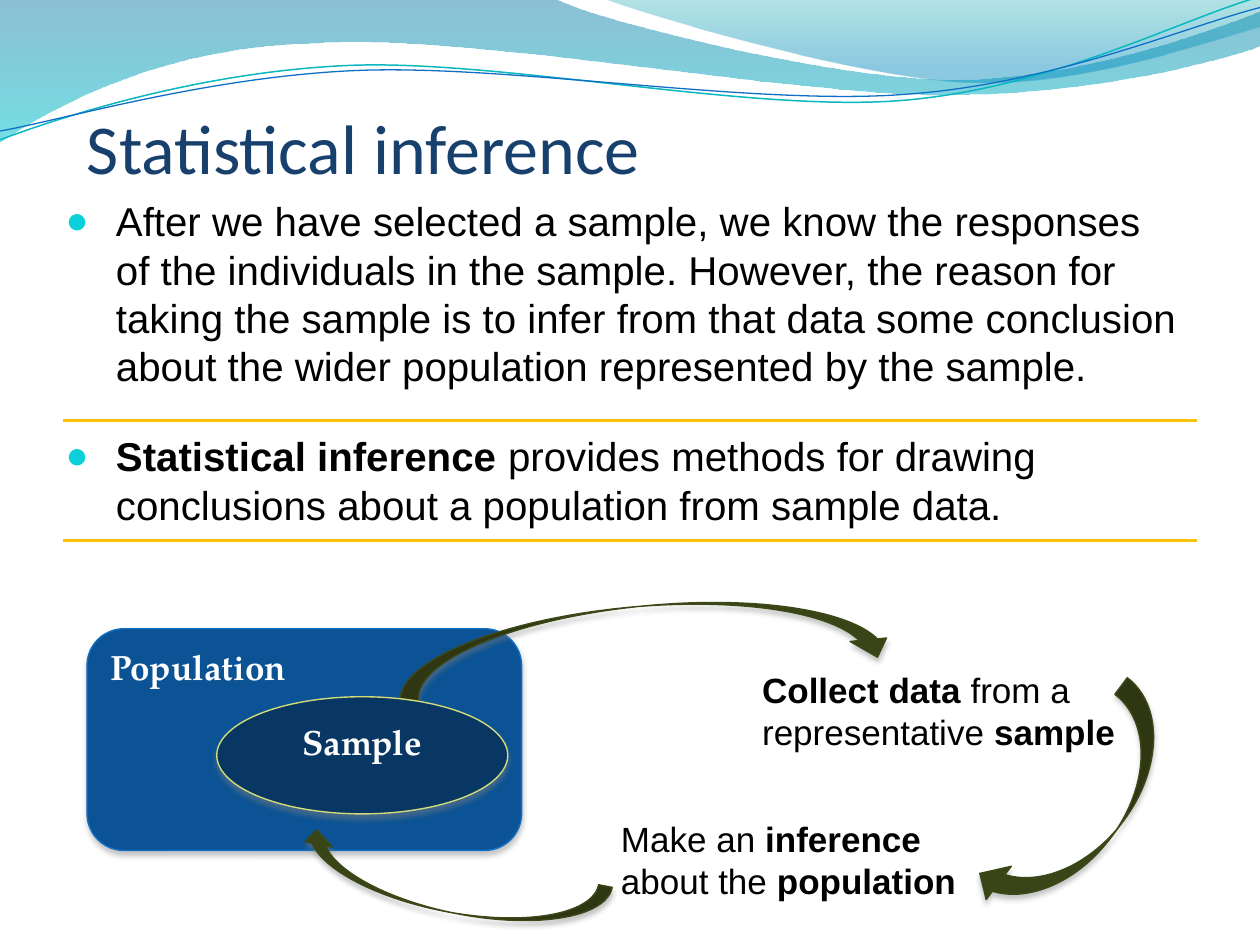
from dataclasses import dataclass
from typing import Optional

from lxml import etree
from pptx import Presentation
from pptx.dml.color import RGBColor
from pptx.enum.shapes import MSO_CONNECTOR, MSO_SHAPE
from pptx.enum.text import MSO_ANCHOR, MSO_AUTO_SIZE, PP_ALIGN
from pptx.oxml.ns import qn
from pptx.util import Inches, Pt

ROUNDED = MSO_SHAPE.ROUNDED_RECTANGLE
OVAL = MSO_SHAPE.OVAL
CURVED_ARROW = MSO_SHAPE.CURVED_DOWN_ARROW
STRAIGHT = MSO_CONNECTOR.STRAIGHT
TOP, BOTTOM = MSO_ANCHOR.TOP, MSO_ANCHOR.BOTTOM
LEFT, CENTER = PP_ALIGN.LEFT, PP_ALIGN.CENTER
NO_AUTOFIT = MSO_AUTO_SIZE.NONE


@dataclass
class Wave:
    start: tuple
    segments: list
    line: Optional[tuple] = None
    gradient: tuple = ()


@dataclass
class Block:
    kind: int
    box: tuple
    fill: str = "3A4517"
    line: str = "3D4818"
    rotation: float = 0
    text: str = ""
    align: int = LEFT


@dataclass
class Caption:
    box: tuple
    runs: list


WAVES = [
    Wave((0, 0), [
        (4.4, -0.01),
        (4.76, 0.17, 6.64, 0.63, 7.58, 0.63), (8.53, 0.63, 9.58, 0.26, 10, 0.09),
        (10.01, 0.36),
        (9.83, 0.44, 8.7, 0.76, 7.46, 0.75), (6.22, 0.75, 3.82, 0.28, 2.57, 0.34),
        (1.29, 0.36, 0.46, 0.83, -0.01, 1.13), (0, 0),
    ], gradient=((0, "0074A1", 45), (1, "00C6CF", 55))),
    Wave((4.79, -0.01), [
        (5.09, 0.11, 6.82, 0.62, 7.69, 0.65), (8.56, 0.69, 9.61, 0.32, 10, 0.21),
        (10, 0), (4.79, -0.01),
    ], gradient=((0, "00A1A9", 30), (0.8, "008BBF", 45))),
    Wave((0, 1.11), [
        (0.48, 0.93, 1.58, 0.57, 2.77, 0.52), (3.95, 0.47, 5.93, 0.89, 7.13, 0.8),
        (8.33, 0.71, 9.38, 0.15, 9.98, -0.02),
    ], line=("0AB8BF", 0.85)),
    Wave((0, 1.04), [
        (0.47, 0.96, 1.64, 0.61, 2.83, 0.56), (4.03, 0.51, 5.97, 0.84, 7.17, 0.75),
        (8.36, 0.67, 9.41, 0.21, 10, 0.06),
    ], line=("0F6FC6", 0.75)),
]
DIAGRAM = [
    Block(ROUNDED, (0.69, 4.99, 3.45, 1.76), "0B5394", "0F6FC6", text="Population"),
    Block(CURVED_ARROW, (3.14, 4.81, 3.95, 0.58), rotation=354.6),
    Caption((5.95, 5.26, 3.38, 0.73), [
        ("Collect data ", True), ("from a representative ", False), ("sample", True)]),
    Block(CURVED_ARROW, (7.52, 6.09, 2.11, 0.66), rotation=127),
    Caption((4.83, 6.44, 3.2, 0.73), [
        ("Make an ", False), ("inference ", True), ("about the ", False), ("population", True)]),
    Block(CURVED_ARROW, (2.34, 6.8, 2.5, 0.44), rotation=191),
    Block(OVAL, (1.72, 5.53, 2.31, 0.93), "083763", "D2DA7A", text="Sample", align=CENTER),
]
BODY = [
    ([("After we have selected a sample, we know the responses of the individuals in the "
       "sample. However, the reason for taking the sample is to infer from that data some "
       "conclusion about the wider population represented by the sample.", False)],
     {"space_before": Pt(0), "space_after": Pt(12)}),
    ([("Statistical inference", True),
      (" provides methods for drawing conclusions about a population from sample data.", False)],
     {"space_before": Pt(12), "space_after": Pt(0)}),
]
RULE_HEIGHTS = (3.34, 4.29)


def color(value: str) -> RGBColor:
    return RGBColor.from_string(value)


def lengths(box: tuple) -> list:
    return [Inches(value) for value in box]


def apply(target, values: dict) -> None:
    for name, value in values.items():
        setattr(target, name, value)


def add_element(parent, tag: str, **attributes):
    return etree.SubElement(parent, qn(tag), attributes)


def set_line(line, value: str, width: float) -> None:
    line.color.rgb = color(value)
    line.width = Pt(width)


def add_runs(paragraph, runs: list, size: float, font: str, value: str) -> None:
    for text, bold in runs:
        run = paragraph.add_run()
        run.text = text
        apply(run.font, {"size": Pt(size), "name": font, "bold": bold})
        run.font.color.rgb = color(value)


def bend_segments(shape, segments: list) -> None:
    straight_lines = list(shape.element.spPr.iter(qn("a:lnTo")))
    for straight, segment in zip(straight_lines, segments):
        if len(segment) == 2:
            continue
        curve = etree.Element(qn("a:cubicBezTo"))
        for x, y in zip(segment[::2], segment[1::2]):
            add_element(curve, "a:pt", x=str(Inches(x) - shape.left), y=str(Inches(y) - shape.top))
        straight.getparent().replace(straight, curve)


def draw_wave(slide, wave: Wave) -> None:
    ends = [lengths(segment[-2:]) for segment in wave.segments]
    builder = slide.shapes.build_freeform(*lengths(wave.start))
    builder.add_line_segments(ends, close=bool(wave.gradient))
    shape = builder.convert_to_shape()
    bend_segments(shape, wave.segments)
    shape.shadow.inherit = False
    if wave.line:
        shape.fill.background()
        set_line(shape.line, *wave.line)
        return
    shape.line.fill.background()
    shape.fill.gradient()
    shape.fill.gradient_angle = 270
    for stop, (position, value, _) in zip(shape.fill.gradient_stops, wave.gradient):
        stop.position = position
        stop.color.rgb = color(value)
    stop_colors = shape.element.spPr.iter(qn("a:srgbClr"))
    for stop_color, (_, _, opacity) in zip(stop_colors, wave.gradient):
        add_element(stop_color, "a:alpha", val=str(opacity * 1000))


def draw_block(slide, block: Block) -> None:
    shape = slide.shapes.add_shape(block.kind, *lengths(block.box))
    shape.rotation = block.rotation
    shape.fill.solid()
    shape.fill.fore_color.rgb = color(block.fill)
    set_line(shape.line, block.line, 0.79)
    shape.shadow.inherit = False
    effects = shape.element.spPr.find(qn("a:effectLst"))
    shadow = add_element(effects, "a:outerShdw", blurRad=str(Pt(3)), dist=str(Pt(2.4)),
                         dir="5400000", rotWithShape="0")
    shadow_color = add_element(shadow, "a:srgbClr", val="808080")
    add_element(shadow_color, "a:alpha", val="45000")
    if block.text:
        shape.text_frame.vertical_anchor = TOP
        paragraph = shape.text_frame.paragraphs[0]
        paragraph.alignment = block.align
        add_runs(paragraph, [(block.text, True)], 20, "TeX Gyre Pagella", "FFFFFF")


def draw_caption(slide, caption: Caption) -> None:
    frame = slide.shapes.add_textbox(*lengths(caption.box)).text_frame
    frame.word_wrap = True
    add_runs(frame.paragraphs[0], caption.runs, 20, "Arial", "000000")


def draw_rule(slide, height: float) -> None:
    rule = slide.shapes.add_connector(STRAIGHT, *lengths((0.5, height, 9.5, height)))
    set_line(rule.line, "FFC20C", 1.5)
    add_element(rule.element.spPr, "a:effectLst")


def place(shape, box: tuple) -> None:
    apply(shape, dict(zip(("left", "top", "width", "height"), lengths(box))))


def fill_title(title) -> None:
    place(title, (0.69, 0.17, 8.5, 1.33))
    apply(title.text_frame, {
        "auto_size": NO_AUTOFIT, "vertical_anchor": BOTTOM, "margin_left": 0,
        "margin_right": 0, "margin_top": Inches(0.05), "margin_bottom": 0})
    paragraph = title.text_frame.paragraphs[0]
    paragraph.alignment = LEFT
    add_runs(paragraph, [("Statistical inference", False)], 40, "Calibri", "17406D")


def fill_body(body) -> None:
    place(body, (0.42, 1.51, 9.04, 2.93))
    frame = body.text_frame
    frame.auto_size = NO_AUTOFIT
    for index, (runs, spacing) in enumerate(BODY):
        paragraph = frame.add_paragraph() if index else frame.paragraphs[0]
        apply(paragraph, spacing)
        properties = paragraph._p.get_or_add_pPr()
        properties.set("marL", str(Inches(0.4)))
        properties.set("indent", str(-Inches(0.4)))
        bullet_color = add_element(properties, "a:buClr")
        add_element(bullet_color, "a:srgbClr", val="0BD0D9")
        add_element(properties, "a:buSzPct", val="95000")
        add_element(properties, "a:buChar", char="●")
        add_runs(paragraph, runs, 23, "Arial", "000000")


def main() -> None:
    presentation = Presentation()
    presentation.slide_width, presentation.slide_height = lengths((10, 7.5))
    slide = presentation.slides.add_slide(presentation.slide_layouts[1])
    for wave in WAVES:
        draw_wave(slide, wave)
    fill_title(slide.shapes.title)
    fill_body(slide.placeholders[1])
    for item in DIAGRAM:
        draw = draw_block if isinstance(item, Block) else draw_caption
        draw(slide, item)
    for height in RULE_HEIGHTS:
        draw_rule(slide, height)
    presentation.save("out.pptx")


if __name__ == "__main__":
    main()
